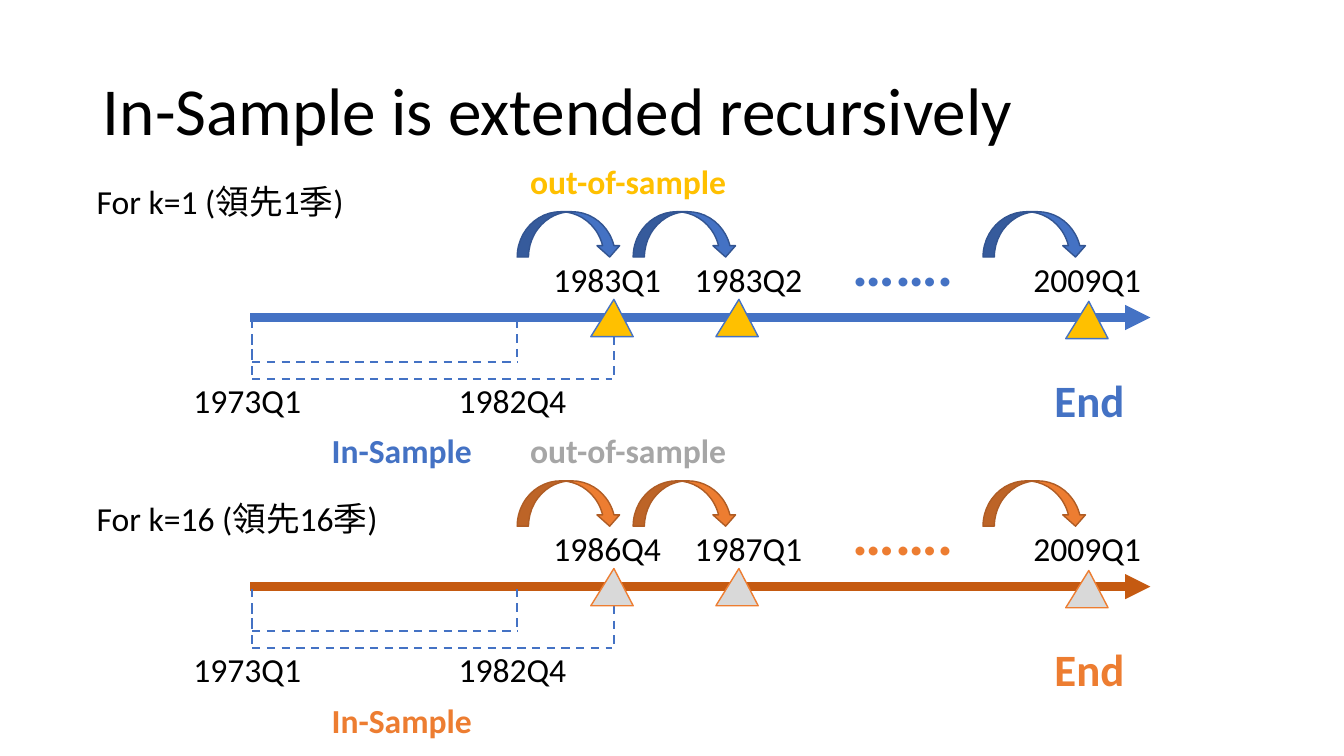
from lxml.etree import SubElement
from pptx import Presentation
from pptx.dml.color import RGBColor
from pptx.enum.dml import MSO_LINE_DASH_STYLE as Dash
from pptx.enum.shapes import MSO_CONNECTOR as Link, MSO_SHAPE as Shape
from pptx.enum.text import MSO_ANCHOR as Anchor, PP_ALIGN as Align
from pptx.oxml.ns import qn
from pptx.util import Inches, Pt

BLACK, BLUE, ORANGE = "000000", "4472C4", "ED7D31"
GAP = 2.67  # distance between the two timelines


def rgb(color):
    return RGBColor.from_string(color)


class Page:
    font = "Calibri"

    def __init__(self, deck):
        self.slide = deck.slides.add_slide(deck.slide_layouts[5])
        self.root = self.shapes = self.slide.shapes

    def group(self):
        """Send the next elements to a new group."""
        self.shapes = self.root.add_group_shape().shapes

    def ungroup(self):
        self.shapes = self.root

    def run(self, para, text, size, color, bold=False):
        run = para.add_run()
        run.text = text
        font = run.font
        font.name, font.size, font.bold = self.font, Pt(size), bold
        font.color.rgb = rgb(color)

    def title(self, text):
        title = self.root.title
        title.left, title.top = Inches(0.92), Inches(0.4)
        title.width, title.height = Inches(11.5), Inches(1.45)
        frame = title.text_frame
        frame.vertical_anchor = Anchor.MIDDLE
        para = frame.paragraphs[0]
        para.alignment, para.line_spacing = Align.LEFT, 0.9
        self.run(para, text, 48, BLACK)

    def label(self, text, x, y, wide=1.36, high=0.5, size=24,
              color=BLACK, bold=False):
        box = self.shapes.add_textbox(
            Inches(x), Inches(y), Inches(wide), Inches(high))
        box.text_frame.word_wrap = True
        self.run(box.text_frame.paragraphs[0], text, size, color, bold)

    def line(self, x1, y1, x2, y2, color=BLUE, width=1.5, arrow=False):
        """Draw a dashed line, or a solid one with an arrowhead."""
        link = self.shapes.add_connector(
            Link.STRAIGHT, Inches(x1), Inches(y1), Inches(x2), Inches(y2))
        link.line.color.rgb = rgb(color)
        link.line.width = Pt(width)
        if arrow:
            SubElement(link.line._get_or_add_ln(), qn("a:tailEnd"),
                       type="triangle")
        else:
            link.line.dash_style = Dash.DASH
        SubElement(link._element.spPr, qn("a:effectLst"))

    def shape(self, kind, x, y, wide, high, fill, edge):
        shape = self.shapes.add_shape(
            kind, Inches(x), Inches(y), Inches(wide), Inches(high))
        shape.shadow.inherit = False
        shape.fill.solid()
        shape.fill.fore_color.rgb = rgb(fill)
        shape.line.color.rgb = rgb(edge)
        shape.line.width = Pt(1)
        return shape

    def bracket(self, left, right, top, base, end):
        """Join two dates under the axis with a dashed bracket."""
        self.line(left, top, left, base)
        self.line(left, base, end, base)
        self.line(right, top, right, base)

    def timeline(self, y, dates, main, axis, edge, mark, out):
        """Draw one forecast scheme with its axis at height y."""
        self.group()
        self.line(2.48, y, 11.41, y, axis, 6, True)
        self.bracket(2.5, 5.13, y + 0.02, y + 0.44, 5.13)
        self.bracket(2.5, 6.09, y + 0.19, y + 0.61, 6.07)
        for x, drop in (5.86, 0), (7.1, 0), (10.57, 0.02):
            peak = self.shape(Shape.ISOSCELES_TRIANGLE, x, y - 0.18 + drop,
                              0.42, 0.37, mark, main)
            peak.adjustments[0] = 0.545
        for x in 5.13, 6.28, 9.75:
            self.shape(Shape.CURVED_DOWN_ARROW, x, y - 1.05, 1.03, 0.45,
                       main, edge)
        for date, x in zip(dates, (5.39, 6.79, 10.15)):
            self.label(date, x, y - 0.63)
        for date, x in ("1973Q1", 1.82), ("1982Q4", 4.45):
            self.label(date, x, y + 0.57)
        self.label("…….", 8.36, y - 0.95, 1.24, 0.82, 42.7, main, True)
        self.label("End", 10.36, y + 0.5, 1.02, 0.64, 32, main, True)
        self.label("In-Sample", 3.19, y + 1.07, 1.72, color=main, bold=True)
        self.label("out-of-sample", 5.16, y - 1.6, 2.36, color=out, bold=True)
        self.ungroup()


def main():
    deck = Presentation()
    deck.slide_width, deck.slide_height = Inches(13.33), Inches(7.5)
    page = Page(deck)
    page.title("In-Sample is extended recursively")
    schemes = [
        (("1983Q1", "1983Q2", "2009Q1"),
         BLUE, BLUE, "325491", "FFC000", "FFC000"),
        (("1986Q4", "1987Q1", "2009Q1"),
         ORANGE, "C55A11", "AF5C24", "D9D9D9", "A6A6A6"),
    ]
    for row, scheme in enumerate(schemes):
        page.timeline(3.15 + row * GAP, *scheme)
    page.label("For k=1 (領先1季)", 0.86, 1.75, 3.24)
    page.label("For k=16 (領先16季)", 0.86, 4.89, 3.24)
    deck.save("out.pptx")


if __name__ == "__main__":
    main()
